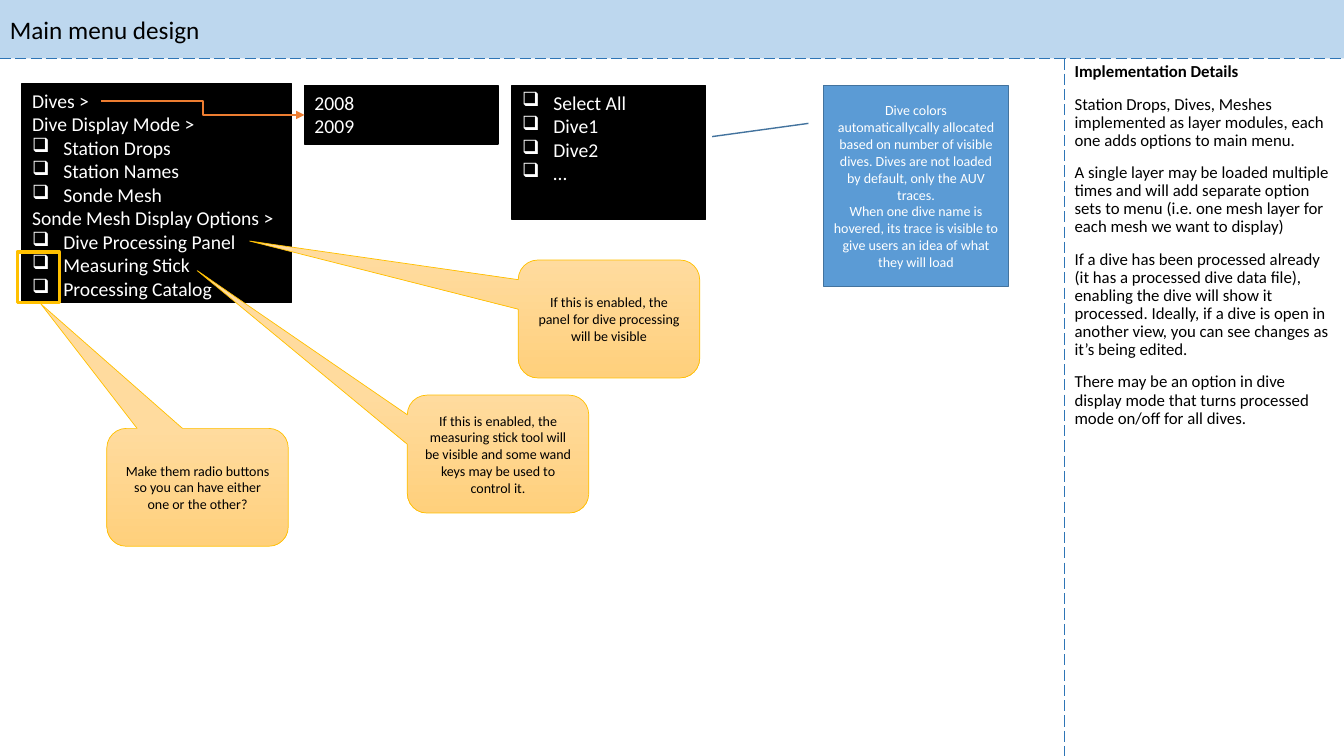
from lxml.etree import SubElement
from pptx import Presentation
from pptx.dml.color import RGBColor
from pptx.enum.dml import MSO_LINE
from pptx.enum.shapes import MSO_CONNECTOR, MSO_SHAPE
from pptx.enum.text import MSO_ANCHOR, PP_ALIGN
from pptx.oxml.ns import qn
from pptx.util import Inches, Pt

BLACK = RGBColor(0x00, 0x00, 0x00)
WHITE = RGBColor(0xFF, 0xFF, 0xFF)
PALE = RGBColor(0xBD, 0xD7, 0xEE)
RULE = RGBColor(0x2E, 0x75, 0xB6)
BLUE = RGBColor(0x5B, 0x9B, 0xD5)
NAVY = RGBColor(0x43, 0x73, 0x9E)
ORANGE = RGBColor(0xED, 0x7D, 0x31)
GOLD = RGBColor(0xFF, 0xC0, 0x00)
SAND = RGBColor(0xFF, 0xDB, 0x9E)
AMBER = RGBColor(0xFF, 0xD0, 0x7C)

WIDTH, HEIGHT = 13.33, 7.5
BAR, SPLIT = 0.58, 10.56
BOX = "❑"

DETAILS = [
    "Implementation Details",
    "Station Drops, Dives, Meshes implemented as layer modules, each one adds options to main menu.",
    "A single layer may be loaded multiple times and will add separate option sets to menu "
    "(i.e. one mesh layer for each mesh we want to display)",
    "If a dive has been processed already (it has a processed dive data file), enabling the dive "
    "will show it processed. Ideally, if a dive is open in another view, you can see changes as "
    "it’s being edited.",
    "There may be an option in dive display mode that turns processed mode on/off for all dives.",
]
MENU = [
    "Dives >", "Dive Display Mode >", "❑Station Drops", "❑Station Names", "❑Sonde Mesh",
    "Sonde Mesh Display Options >", "❑Dive Processing Panel", "❑Measuring Stick",
    "❑Processing Catalog",
]
YEARS = ["2008", "2009"]
DIVES = ["❑Select All", "❑Dive1", "❑Dive2", "❑…"]
COLORS = [
    "Dive colors automaticallycally allocated based on number of visible dives. "
    "Dives are not loaded by default, only the AUV traces.",
    "When one dive name is hovered, its trace is visible to give users an idea of what they will load",
]
NOTES = [
    (5.14, 2.58, (-1.98, -0.661), "If this is enabled, the panel for dive processing will be visible"),
    (4.04, 3.92, (-1.658, -1.556),
     "If this is enabled, the measuring stick tool will be visible and some wand keys "
     "may be used to control it."),
    (1.06, 4.25, (-0.864, -1.556), "Make them radio buttons so you can have either one or the other?"),
]


def write(shape, lines, size, color, anchor=MSO_ANCHOR.TOP, align=PP_ALIGN.LEFT, tight=False):
    frame = shape.text_frame
    frame.word_wrap = True
    frame.vertical_anchor = anchor
    frame.text = "\n".join(line.removeprefix(BOX) for line in lines)
    for para, line in zip(frame.paragraphs, lines):
        para.alignment = align
        if tight:
            para.line_spacing = 0.9
            para.space_before = Pt(10)
        if line.startswith(BOX):
            props = para._p.get_or_add_pPr()
            props.set("marL", str(Inches(0.31)))
            props.set("indent", str(Inches(-0.31)))
            SubElement(props, qn("a:buChar")).set("char", BOX)
        for run in para.runs:
            run.font.name = "Calibri"
            run.font.size = Pt(size)
            run.font.color.rgb = color


def place(slide, kind, box, fill=None, line=None, weight=1):
    shape = slide.shapes.add_shape(kind, *map(Inches, box))
    shape.shadow.inherit = False
    if fill is None:
        shape.fill.background()
    else:
        shape.fill.solid()
        shape.fill.fore_color.rgb = fill
    if line is None:
        shape.line.fill.background()
    else:
        shape.line.color.rgb = line
        shape.line.width = Pt(weight)
    return shape


def link(slide, kind, start, end, color, weight):
    wire = slide.shapes.add_connector(kind, *map(Inches, start + end))
    wire.line.color.rgb = color
    wire.line.width = Pt(weight)
    SubElement(wire._element.spPr, qn("a:effectLst"))
    return wire


def header(slide, box):
    left, top, width, height = box
    place(slide, MSO_SHAPE.RECTANGLE, box, PALE)
    base = top + height
    for start, end in [((SPLIT, base), (SPLIT, HEIGHT)), ((left, base), (left + width, base))]:
        link(slide, MSO_CONNECTOR.STRAIGHT, start, end, RULE, 1).line.dash_style = MSO_LINE.LONG_DASH
    title = slide.shapes.add_textbox(*map(Inches, box))
    write(title, ["Main menu design"], 18, BLACK, MSO_ANCHOR.MIDDLE)


def sidebar(slide, box):
    panel = slide.shapes.add_textbox(*map(Inches, box))
    write(panel, DETAILS, 12, BLACK, tight=True)
    panel.text_frame.paragraphs[0].runs[0].font.bold = True


def menu(slide, box, lines):
    shape = place(slide, MSO_SHAPE.RECTANGLE, box, BLACK, BLACK)
    write(shape, lines, 14, WHITE)
    return shape


def menus(slide, box):
    left, top, width, height = box
    menu(slide, box, MENU)
    years = menu(slide, (left + 2.8, top + 0.02, 1.92, 0.58), YEARS)
    menu(slide, (left + 4.86, top + 0.02, 1.92, 1.33), DIVES)
    arrow = link(slide, MSO_CONNECTOR.ELBOW, (left + 0.78, top + 0.17),
                 (left + 2.8, top + 0.31), ORANGE, 1.5)
    arrow.end_connect(years, 1)
    SubElement(arrow.line._get_or_add_ln(), qn("a:tailEnd")).set("type", "triangle")


def legend(slide, box):
    shape = place(slide, MSO_SHAPE.LINE_CALLOUT_1, box, BLUE, NAVY)
    for spot, value in enumerate((0.188, -0.083, 0.254, -0.605)):
        shape.adjustments[spot] = value
    write(shape, COLORS, 10, WHITE, MSO_ANCHOR.MIDDLE, PP_ALIGN.CENTER)


def note(slide, box, tip, text):
    shape = place(slide, MSO_SHAPE.ROUNDED_RECTANGULAR_CALLOUT, box, SAND, GOLD, 0.5)
    shape.adjustments[0], shape.adjustments[1] = tip
    shape.fill.gradient()
    shape.fill.gradient_angle = 270
    for stop, color in zip(shape.fill.gradient_stops, (SAND, AMBER)):
        stop.color.rgb = color
    write(shape, [text], 10, BLACK, MSO_ANCHOR.MIDDLE, PP_ALIGN.CENTER)


def main():
    deck = Presentation()
    deck.slide_width, deck.slide_height = Inches(WIDTH), Inches(HEIGHT)
    slide = deck.slides.add_slide(deck.slide_layouts[6])
    header(slide, (0, 0, WIDTH, BAR))
    sidebar(slide, (SPLIT, BAR, WIDTH - SPLIT, HEIGHT - BAR))
    menus(slide, (0.22, 0.83, 2.67, 2.17))
    legend(slide, (8.17, 0.85, 1.83, 1.99))
    for left, top, tip, text in NOTES:
        note(slide, (left, top, 1.8, 1.17), tip, text)
    place(slide, MSO_SHAPE.RECTANGLE, (0.17, 2.5, 0.42, 0.5), line=GOLD, weight=2.25)
    deck.save("out.pptx")


if __name__ == "__main__":
    main()
